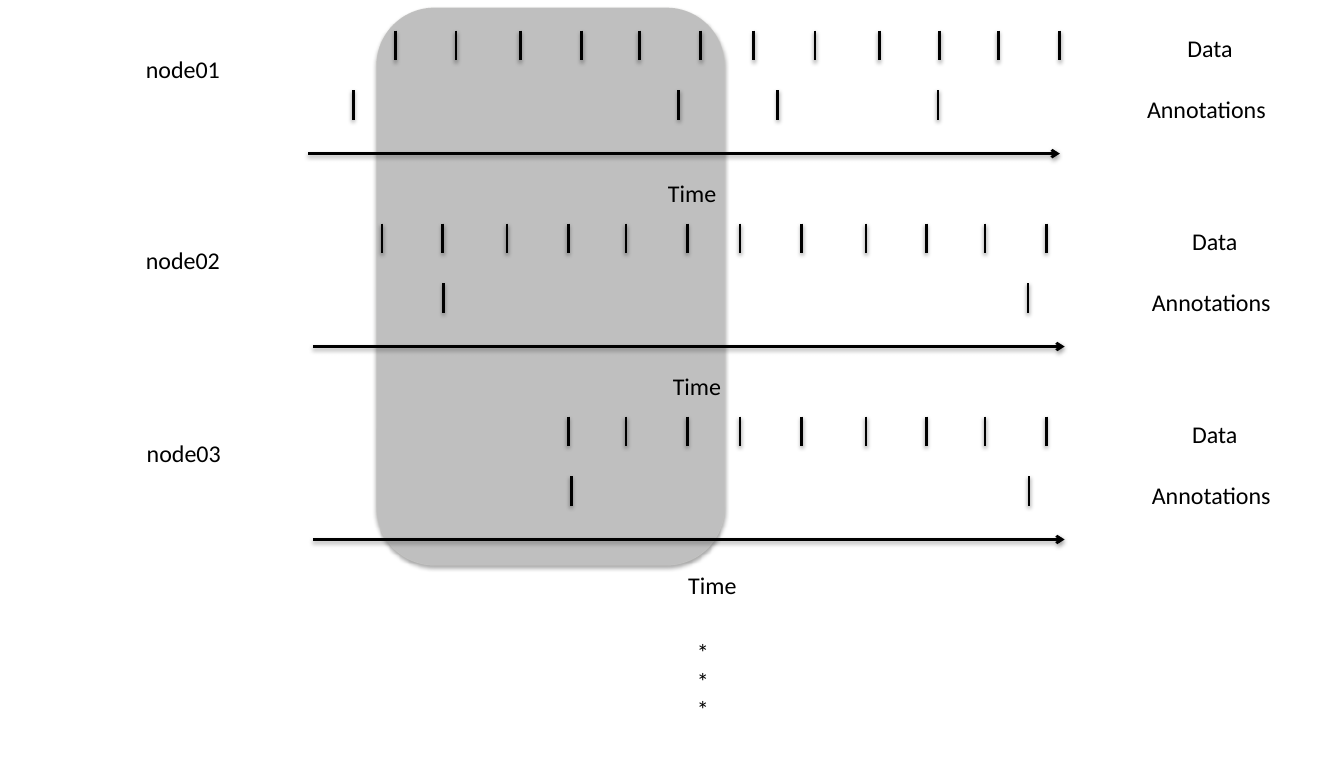
import pptx
import pptx.dml.color
import pptx.enum.dml
import pptx.enum.shapes
import pptx.enum.text
import pptx.oxml
import pptx.oxml.ns
import pptx.util
from dataclasses import dataclass

Inches = pptx.util.Inches
Pt = pptx.util.Pt


@dataclass(frozen=True)
class Theme:
    ink: str = "000000"
    window: str = "BFBFBF"
    window_edge: str = "EEECE1"
    edge_opacity: int = 10
    font: str = "Calibri"
    text_size: float = 18
    line_width: float = 2
    edge_width: float = 0.75


THEME = Theme()

# Content: one timeline per node, lengths in inches
DATA_TIMES = [4.12, 4.75, 5.42, 6.06, 6.66, 7.3, 7.85, 8.49, 9.16, 9.79, 10.4, 11.04]
TIMELINES = [
    {"node": "node01", "node_at": (1.42, 0.52), "node_width": 1.79, "wrap": True,
     "top": 0.32, "axis_left": 3.21, "data_shift": 0, "first_data": 0,
     "annotations": [3.68, 7.07, 8.1, 9.77], "time_at": (6.86, 1.81)},
    {"node": "node02", "node_at": (1.42, 2.51), "node_width": 0.98, "wrap": False,
     "top": 2.33, "axis_left": 3.26, "data_shift": -0.14, "first_data": 0,
     "annotations": [4.62, 10.71], "time_at": (6.91, 3.82)},
    {"node": "node03", "node_at": (1.43, 4.52), "node_width": 0.98, "wrap": False,
     "top": 4.34, "axis_left": 3.26, "data_shift": -0.14, "first_data": 3,
     "annotations": [5.95, 10.72], "time_at": (7.07, 5.89)},
]
CONTINUATION = ["*", "*", "*"]

# Layout rules, measured from the top or axis start of each timeline
WINDOW = (3.92, 0.08, 3.63, 5.81)
TICK_HEIGHT = 0.31
ANNOTATION_DROP = 0.62
AXIS_DROP = 1.28
AXIS_LENGTH = 7.83
DATA_LABEL_OFFSET = 9.06
ANNOTATION_LABEL_OFFSET = 8.64
LABEL_RISE = 0.02
LABEL_HEIGHT = 0.4

deck = pptx.Presentation()
deck.slide_width, deck.slide_height = Inches(14), Inches(8)
slide = deck.slides.add_slide(deck.slide_layouts[6])


def color(value):
    return pptx.dml.color.RGBColor.from_string(value)


def add_shadow(item, opacity, distance):
    item._element.spPr.append(pptx.oxml.parse_xml(
        f'<a:effectLst {pptx.oxml.ns.nsdecls("a")}>'
        f'<a:outerShdw blurRad="{Pt(3.1)}" dist="{Pt(distance)}" dir="5400000" rotWithShape="0">'
        f'<a:srgbClr val="{THEME.ink}"><a:alpha val="{opacity * 1000}"/></a:srgbClr>'
        '</a:outerShdw></a:effectLst>'))


def add_line(start, end, arrow=False):
    stroke = slide.shapes.add_connector(
        pptx.enum.shapes.MSO_CONNECTOR.STRAIGHT, *map(Inches, (*start, *end)))
    stroke.line.color.rgb = color(THEME.ink)
    stroke.line.width = Pt(THEME.line_width)
    if arrow:
        stroke.line._get_or_add_ln().append(pptx.oxml.parse_xml(
            f'<a:tailEnd {pptx.oxml.ns.nsdecls("a")} type="arrow"/>'))
    add_shadow(stroke, 38, 1.6)


def add_ticks(times, top):
    for time in times:
        add_line((time, top), (time, top + TICK_HEIGHT))


def add_text(lines, at, width, height=LABEL_HEIGHT, wrap=False, size=THEME.text_size):
    label = slide.shapes.add_textbox(*map(Inches, (*at, width, height)))
    frame = label.text_frame
    frame.word_wrap = wrap
    frame.auto_size = pptx.enum.text.MSO_AUTO_SIZE.SHAPE_TO_FIT_TEXT
    frame.text = "\n".join(lines)
    for paragraph in frame.paragraphs:
        for run in paragraph.runs:
            run.font.name = THEME.font
            run.font.size = Pt(size)
            run.font.color.rgb = color(THEME.ink)


# Shared time window behind all timelines
window = slide.shapes.add_shape(
    pptx.enum.shapes.MSO_SHAPE.ROUNDED_RECTANGLE, *map(Inches, WINDOW))
window.shadow.inherit = False
window.fill.solid()
window.fill.fore_color.rgb = color(THEME.window)
window.line.color.rgb = color(THEME.window_edge)
window.line.width = Pt(THEME.edge_width)
edge_color = window.line._get_or_add_ln().find(".//" + pptx.oxml.ns.qn("a:srgbClr"))
edge_color.append(pptx.oxml.parse_xml(
    f'<a:alpha {pptx.oxml.ns.nsdecls("a")} val="{THEME.edge_opacity * 1000}"/>'))
window_effects = window._element.spPr.find(pptx.oxml.ns.qn("a:effectLst"))
window._element.spPr.remove(window_effects)
add_shadow(window, 35, 1.8)

# Timelines: ticks, axis and labels
for timeline in TIMELINES:
    top, left = timeline["top"], timeline["axis_left"]
    annotation_top, axis_y = top + ANNOTATION_DROP, top + AXIS_DROP
    data_times = [time + timeline["data_shift"]
                  for time in DATA_TIMES[timeline["first_data"]:]]
    add_ticks(data_times, top)
    add_ticks(timeline["annotations"], annotation_top)
    add_line((left, axis_y), (left + AXIS_LENGTH, axis_y), arrow=True)
    add_text([timeline["node"]], timeline["node_at"], timeline["node_width"],
             wrap=timeline["wrap"])
    add_text(["Data"], (left + DATA_LABEL_OFFSET, top - LABEL_RISE), 0.68)
    add_text(["Annotations"], (left + ANNOTATION_LABEL_OFFSET, annotation_top), 1.46)
    add_text(["Time"], timeline["time_at"], 0.71)

# More nodes follow
add_text(CONTINUATION, (7.16, 6.59), 0.33, height=1.01)

deck.save("out.pptx")
